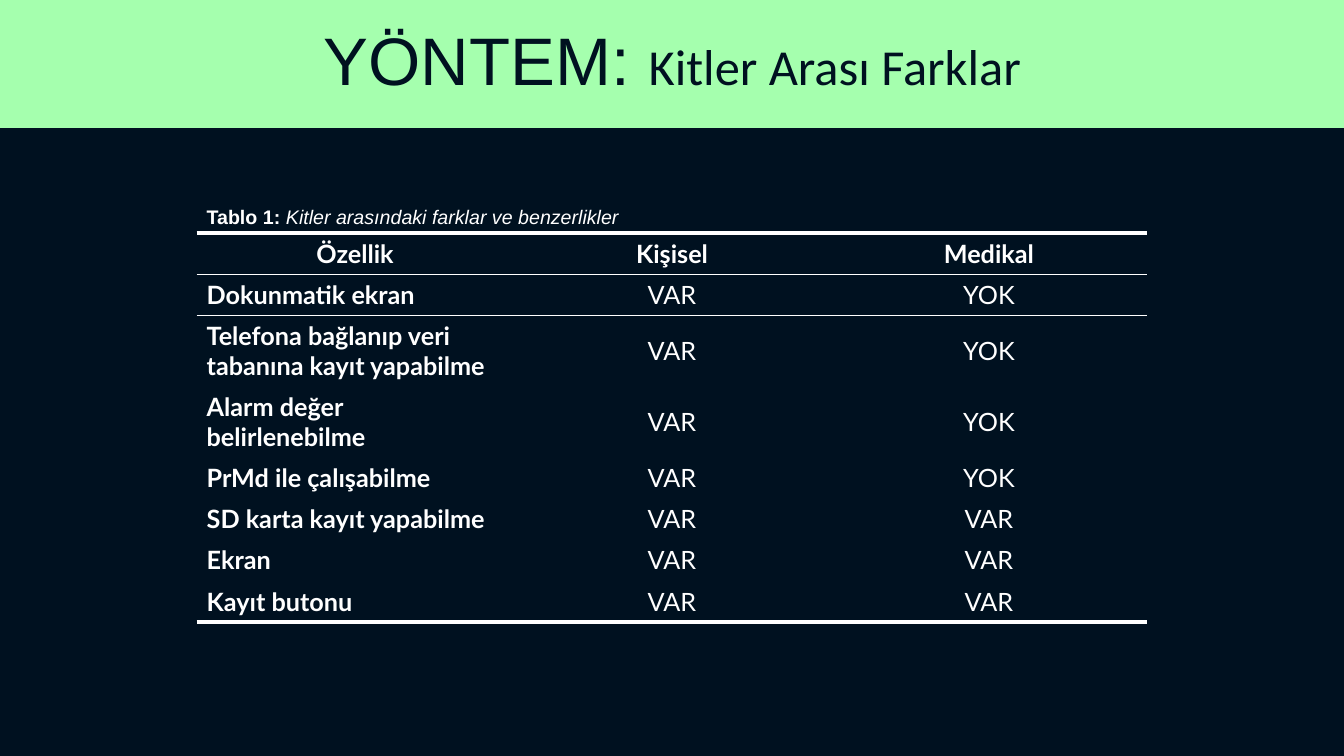
"""Build the slide comparing the two kits in a ruled table."""
from lxml import etree
from pptx import Presentation
from pptx.dml.color import RGBColor
from pptx.enum.shapes import MSO_SHAPE as Shape
from pptx.enum.text import MSO_ANCHOR as Anchor, PP_ALIGN as Align
from pptx.oxml import parse_xml
from pptx.oxml.ns import nsdecls, qn
from pptx.util import Inches, Pt

NAVY, GREEN, WHITE = "001120", "A5FFAE", "FFFFFF"
PLAIN = "{2D5ABB26-0587-4C30-8999-92F81FD0307C}"
ROWS = [
    ("Özellik", "Kişisel", "Medikal"),
    ("Dokunmatik ekran", "VAR", "YOK"),
    ("Telefona bağlanıp veri tabanına kayıt yapabilme", "VAR", "YOK"),
    ("Alarm değer belirlenebilme", "VAR", "YOK"),
    ("PrMd ile çalışabilme", "VAR", "YOK"),
    ("SD karta kayıt yapabilme", "VAR", "VAR"),
    ("Ekran", "VAR", "VAR"),
    ("Kayıt butonu", "VAR", "VAR"),
]
LAST = len(ROWS) - 1
RULES = {0: [("lnB", 1), ("lnT", 3)], 1: [("lnT", 1)], LAST: [("lnB", 3)]}


def style(run, font, size, color, bold=False, italic=False):
    run.font.name, run.font.size = font, Pt(size)
    run.font.bold, run.font.italic = bold, italic
    run.font.color.rgb = RGBColor.from_string(color)


def rule(cell, side, width):
    line = parse_xml(
        f'<a:{side} {nsdecls("a")} w="{Pt(width)}"><a:solidFill>'
        f'<a:srgbClr val="{WHITE}"/></a:solidFill></a:{side}>')
    cell._tc.get_or_add_tcPr().insert(0, line)


prs = Presentation()
prs.slide_width, prs.slide_height = Inches(13.33), Inches(7.5)
slide = prs.slides.add_slide(prs.slide_layouts[5])
slide.background.fill.solid()
slide.background.fill.fore_color.rgb = RGBColor.from_string(NAVY)

title = slide.shapes.title
title.left, title.top = Inches(0.92), Inches(0.17)
title.width, title.height = Inches(11.5), Inches(0.93)
title.text_frame.vertical_anchor = Anchor.MIDDLE
head = title.text_frame.paragraphs[0]
head.alignment, head.line_spacing = Align.CENTER, 0.9
for text, font, size in [("YÖNTEM: ", "Arial", 48),
                         ("Kitler Arası Farklar", "Calibri", 36)]:
    run = head.add_run()
    run.text = text
    style(run, font, size, NAVY)

band = slide.shapes.add_shape(
    Shape.RECTANGLE, 0, 0, prs.slide_width, Inches(1.27))
band.shadow.inherit = False
band.fill.solid()
band.fill.fore_color.rgb = RGBColor.from_string(GREEN)
band.line.fill.background()
title.element.addprevious(band.element)

frame = slide.shapes.add_table(
    len(ROWS), 3, Inches(1.95), Inches(2.31), Inches(9.43), Inches(3.28))
table = frame.table
table.first_row = table.horz_banding = False
frame.element.find(".//" + qn("a:tableStyleId")).text = PLAIN
for r, row in enumerate(ROWS):
    table.rows[r].height = Inches(0.41)
    for c, text in enumerate(row):
        cell = table.cell(r, c)
        cell.text_frame.text = text
        cell.vertical_anchor = Anchor.MIDDLE
        cell.fill.background()
        para = cell.text_frame.paragraphs[0]
        para.alignment = Align.LEFT if r and not c else Align.CENTER
        style(para.runs[0], "Lato", 18, WHITE, bold=not (r and c))
        for side, width in RULES.get(r, []):
            rule(cell, side, width)

label = slide.shapes.add_textbox(
    Inches(1.95), Inches(1.98), Inches(5.12), Inches(0.34))
label.text_frame.word_wrap = True
para = label.text_frame.paragraphs[0]
for text, bold in [("Tablo 1: ", True),
                   ("Kitler arasındaki farklar ve benzerlikler", False)]:
    run = para.add_run()
    run.text = text
    style(run, "Arial", 14, WHITE, bold=bold, italic=not bold)

prs.save("out.pptx")
